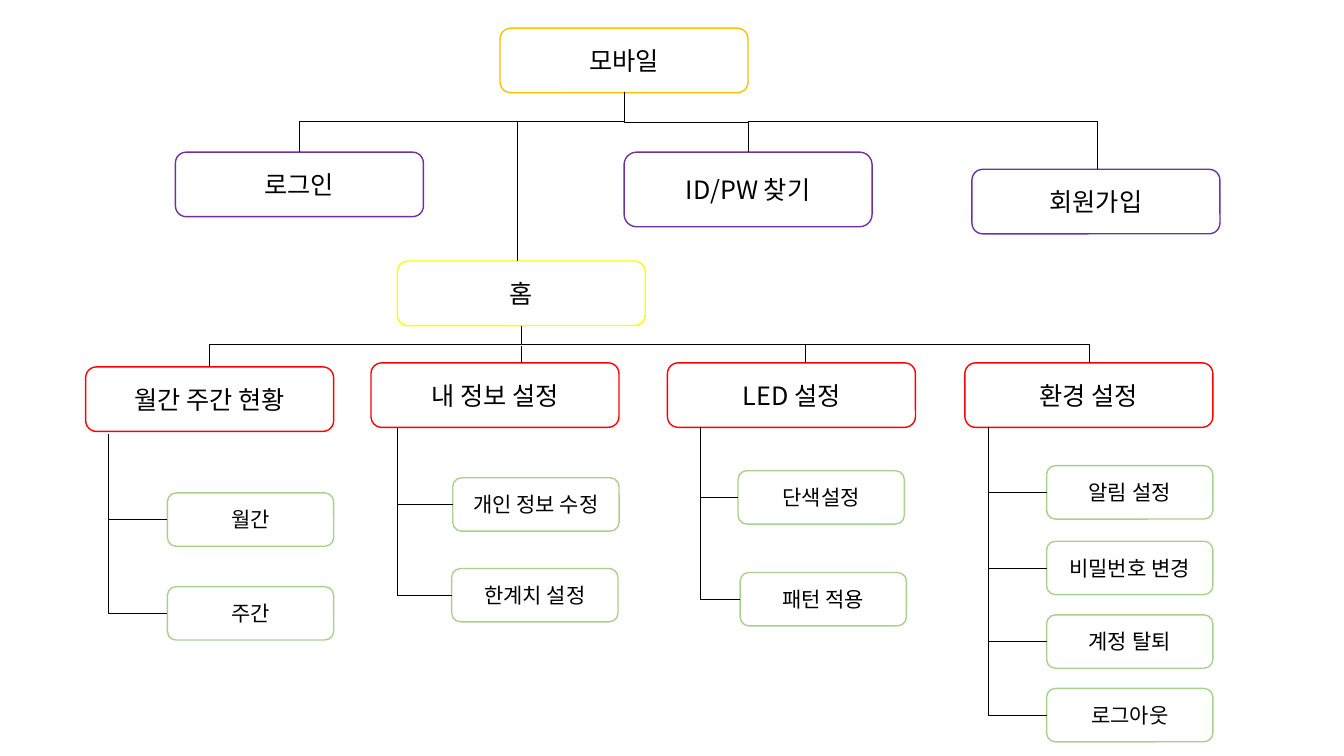
from pptx import Presentation
from pptx.dml.color import RGBColor
from pptx.enum.shapes import MSO_CONNECTOR, MSO_SHAPE
from pptx.enum.text import MSO_ANCHOR, PP_ALIGN
from pptx.oxml.ns import qn
from pptx.util import Inches, Pt
from lxml.etree import SubElement

FONT = "Noto Sans CJK KR"
COLORS = {
    "root": "FFC000", "account": "7030A0", "home": "FFFF00",
    "section": "FF0000", "item": "A9D18E", "ink": "000000", "paper": "FFFFFF",
}
PAGE_W, PAGE_H = 2.46, 0.64
ITEM_W, ITEM_H = 1.65, 0.53

# label, level, left, top, height
PAGES = [
    ("모바일", "root", 4.96, 0.28, PAGE_H),
    ("로그인", "account", 1.74, 1.51, PAGE_H),
    ("ID/PW 찾기", "account", 6.19, 1.51, 0.74),
    ("회원가입", "account", 9.64, 1.68, PAGE_H),
    ("홈", "home", 3.94, 2.59, PAGE_H),
]
# label, left, top, stem x, stem top, items as (label, left, top)
SECTIONS = [
    ("월간 주간 현황", 0.85, 3.64, 1.07, 4.31,
     [("월간", 1.66, 4.89), ("주간", 1.66, 5.82)]),
    ("내 정보 설정", 3.68, 3.6, 3.94, 4.25,
     [("개인 정보 수정", 4.49, 4.74), ("한계치 설정", 4.48, 5.64)]),
    ("LED 설정", 6.62, 3.6, 6.95, 4.24,
     [("단색설정", 7.32, 4.67), ("패턴 적용", 7.34, 5.68)]),
    ("환경 설정", 9.57, 3.6, 9.8, 4.24,
     [("알림 설정", 10.38, 4.62), ("비밀번호 변경", 10.38, 5.37),
      ("계정 탈퇴", 10.38, 6.1), ("로그아웃", 10.38, 6.83)]),
]
STRAIGHT_LINKS = [
    ((5.13, 1.2), (5.13, 2.59)),
    ((5.17, 3.43), (5.17, 3.6)),
    ((7.99, 3.42), (7.99, 3.6)),
]
ACROSS_THEN_DOWN = [
    ((7.42, 1.2), (10.88, 1.68)),
    ((6.19, 1.2), (2.97, 1.51)),
    ((5.17, 3.42), (2.08, 3.64)),
]
DOWN_ACROSS_DOWN = [
    ((6.19, 0.91), (7.42, 1.51)),
    ((5.17, 3.23), (10.8, 3.6)),
]


def add_box(slide, label, level, left, top, width, height, size):
    box = slide.shapes.add_shape(
        MSO_SHAPE.ROUNDED_RECTANGLE,
        Inches(left), Inches(top), Inches(width), Inches(height))
    box.shadow.inherit = False
    box.fill.solid()
    box.fill.fore_color.rgb = RGBColor.from_string(COLORS["paper"])
    box.line.color.rgb = RGBColor.from_string(COLORS[level])
    box.line.width = Pt(1)
    frame = box.text_frame
    frame.word_wrap = True
    frame.vertical_anchor = MSO_ANCHOR.MIDDLE
    paragraph = frame.paragraphs[0]
    paragraph.alignment = PP_ALIGN.CENTER
    run = paragraph.add_run()
    run.text = label
    run.font.size = Pt(size)
    run.font.name = FONT
    run.font.color.rgb = RGBColor.from_string(COLORS["ink"])
    properties = run.font._element
    SubElement(properties, qn("a:ea")).set("typeface", FONT)


def add_link(slide, start, end, preset="line"):
    kind = MSO_CONNECTOR.STRAIGHT if preset == "line" else MSO_CONNECTOR.ELBOW
    link = slide.shapes.add_connector(kind, *map(Inches, start + end))
    link.line.color.rgb = RGBColor.from_string(COLORS["ink"])
    link.line.width = Pt(0.5)
    properties = link._element.spPr
    properties.find(qn("a:prstGeom")).set("prst", preset)
    SubElement(properties, qn("a:effectLst"))
    return link


def add_downward_link(slide, start, end, preset):
    """Add an elbow that leaves downward: a mirrored elbow turned by 270 degrees."""
    (x1, y1), (x2, y2) = start, end
    mid_x, mid_y = (x1 + x2) / 2, (y1 + y2) / 2
    half_w, half_h = (y2 - y1) / 2, (x2 - x1) / 2
    link = add_link(slide, (mid_x + half_w, mid_y - half_h),
                    (mid_x - half_w, mid_y + half_h), preset)
    link._element.spPr.find(qn("a:xfrm")).set("rot", str(270 * 60000))


def add_section(slide, label, left, top, stem_x, stem_top, items):
    add_box(slide, label, "section", left, top, PAGE_W, PAGE_H, 18)
    for item, item_left, item_top in items:
        add_box(slide, item, "item", item_left, item_top, ITEM_W, ITEM_H, 15)
    joints = [(x, y + ITEM_H / 2) for _, x, y in items]
    for x, y in joints[:-1]:
        add_link(slide, (x, y), (stem_x, y))
    add_downward_link(slide, (stem_x, stem_top), joints[-1], "bentConnector2")


def main():
    deck = Presentation()
    deck.slide_width, deck.slide_height = Inches(13.33), Inches(7.5)
    slide = deck.slides.add_slide(deck.slide_layouts[6])
    for label, level, left, top, height in PAGES:
        add_box(slide, label, level, left, top, PAGE_W, height, 18)
    for section in SECTIONS:
        add_section(slide, *section)
    for start, end in STRAIGHT_LINKS:
        add_link(slide, start, end)
    for start, end in ACROSS_THEN_DOWN:
        add_link(slide, start, end, "bentConnector2")
    for start, end in DOWN_ACROSS_DOWN:
        add_downward_link(slide, start, end, "bentConnector3")
    deck.save("out.pptx")


if __name__ == "__main__":
    main()
